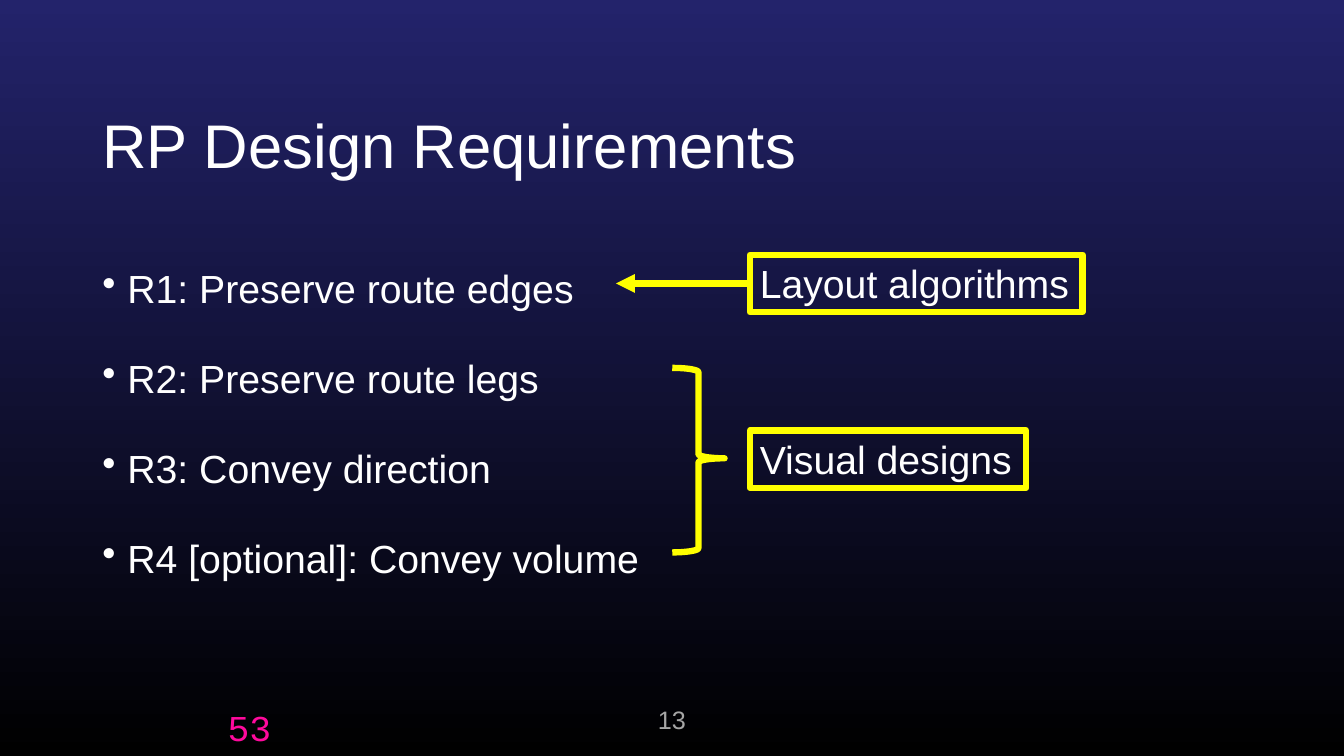
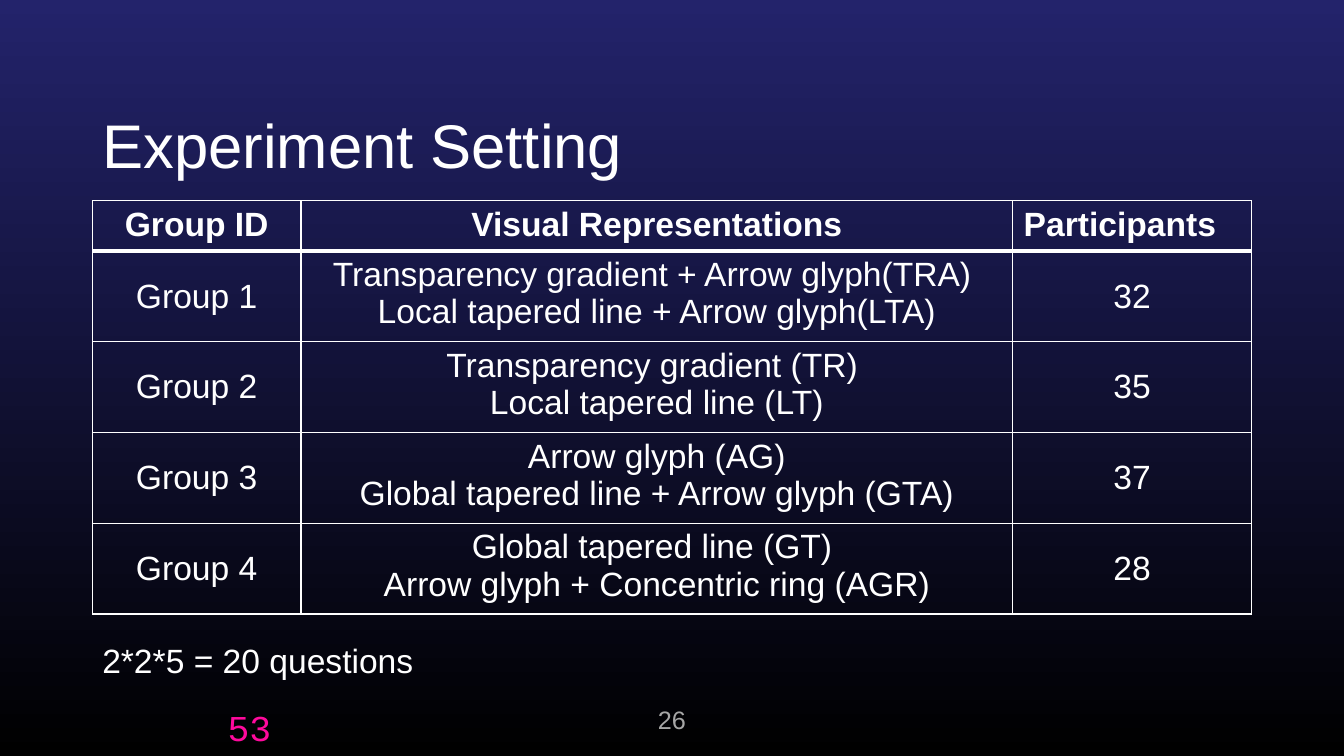
from dataclasses import dataclass
from lxml.etree import SubElement as Sub
from pptx import Presentation as Deck
from pptx.dml.color import RGBColor as Rgb
from pptx.enum.shapes import MSO_CONNECTOR as Link, MSO_SHAPE as Kind
from pptx.enum.text import MSO_ANCHOR as Anchor, MSO_AUTO_SIZE as Auto, PP_ALIGN as Align
from pptx.oxml.ns import qn
from pptx.shapes.autoshape import Shape
from pptx.slide import Slide
from pptx.table import _Cell as Cell
from pptx.text.text import TextFrame as Frame
from pptx.util import Pt

WHITE, YELLOW, PINK, GREY = "FFFFFF", "FFFF00", "FF0A9D", "A6A6A6"
NAVY, BLACK = "23236B", "000000"
LEFT, WIDE = 66, 828


@dataclass(frozen=True)
class Box:
    x: float
    y: float
    w: float
    h: float


@dataclass(frozen=True)
class Style:
    size: float
    color: str = WHITE
    font: str = "Arial"
    bold: bool = False
    align: Align = Align.LEFT
    anchor: Anchor = Anchor.TOP
    lead: float = 1.0


@dataclass(frozen=True)
class Group:
    name: str
    views: str
    count: int


HEAD = Style(44, anchor=Anchor.BOTTOM, lead=0.9)
BODY = Style(28, lead=0.9)
LABEL = Style(28)
NOTE = Style(24)
PAGE = Style(18, GREY, align=Align.CENTER, anchor=Anchor.BOTTOM)
TOTAL = Style(26, PINK, "Courier New")
TOP = Style(24, bold=True, align=Align.CENTER)
TOP_LEFT = Style(24, bold=True)
CELL = Style(24, align=Align.CENTER)
MID = Style(24, align=Align.CENTER, anchor=Anchor.MIDDLE)

NEEDS = (
    "R1: Preserve route edges",
    "R2: Preserve route legs",
    "R3: Convey direction",
    "R4 [optional]: Convey volume",
)
GROUPS = (
    Group("Group 1", "Transparency gradient + Arrow glyph(TRA) \nLocal tapered line + Arrow glyph(LTA)", 32),
    Group("Group 2", "Transparency gradient (TR) \nLocal tapered line (LT)", 35),
    Group("Group 3", "Arrow glyph (AG)\nGlobal tapered line + Arrow glyph (GTA)", 37),
    Group("Group 4", "Global tapered line (GT) \nArrow glyph + Concentric ring (AGR)", 28),
)


def hue(code: str) -> Rgb:
    return Rgb.from_string(code)


def place(box: Box) -> tuple:
    return Pt(box.x), Pt(box.y), Pt(box.w), Pt(box.h)


def write(frame: Frame, text: str, style: Style) -> None:
    frame.text = text
    for para in frame.paragraphs:
        para.alignment = style.align
        para.line_spacing = style.lead
        for run in para.runs:
            run.font.size = Pt(style.size)
            run.font.name = style.font
            run.font.bold = style.bold
            run.font.color.rgb = hue(style.color)


def add_text(slide: Slide, box: Box, text: str, style: Style) -> Frame:
    frame = slide.shapes.add_textbox(*place(box)).text_frame
    frame.word_wrap = True
    frame.vertical_anchor = style.anchor
    write(frame, text, style)
    return frame


def add_slide(deck: Deck, title: str, page: int) -> Slide:
    slide = deck.slides.add_slide(deck.slide_layouts[6])
    fill = slide.background.fill
    fill.gradient()
    fill.gradient_angle = 270
    for stop, code, spot in zip(fill.gradient_stops, (NAVY, BLACK), (0, 1)):
        stop.color.rgb = hue(code)
        stop.position = spot
    add_text(slide, Box(155.5, 500.4, 83.5, 38.9), "53", TOTAL)
    add_text(slide, Box(LEFT, 28.8, WIDE, 104.4), title, HEAD)
    add_text(slide, Box(372, 499.7, 216, 28.8), str(page), PAGE)
    return slide


def add_list(slide: Slide, box: Box, items: tuple) -> None:
    frame = add_text(slide, box, "\n".join(items), BODY)
    frame.margin_top = Pt(48.5)
    for row, para in enumerate(frame.paragraphs):
        props = para._p.get_or_add_pPr()
        props.set("marL", str(Pt(18)))
        props.set("indent", str(-Pt(18)))
        Sub(props, qn("a:buChar")).set("char", "•")
        if row:
            para.space_before = Pt(34)


def add_line(slide: Slide, kind: Kind, box: Box) -> Shape:
    shape = slide.shapes.add_shape(kind, *place(box))
    shape.shadow.inherit = False
    shape.fill.background()
    shape.line.color.rgb = hue(YELLOW)
    shape.line.width = Pt(4.5)
    return shape


def add_label(slide: Slide, box: Box, text: str) -> Shape:
    shape = add_line(slide, Kind.RECTANGLE, box)
    frame = shape.text_frame
    frame.word_wrap = False
    frame.auto_size = Auto.SHAPE_TO_FIT_TEXT
    frame.vertical_anchor = Anchor.TOP
    write(frame, text, LABEL)
    return shape


def add_arrow(slide: Slide, start: Shape, end: float) -> None:
    mid = start.top + start.height // 2
    arrow = slide.shapes.add_connector(Link.STRAIGHT, start.left, mid, Pt(end), mid)
    arrow.begin_connect(start, 1)
    arrow.line.color.rgb = hue(YELLOW)
    arrow.line.width = Pt(4.5)
    Sub(arrow.line._get_or_add_ln(), qn("a:tailEnd")).set("type", "triangle")
    Sub(arrow._element.spPr, qn("a:effectLst"))


def add_edge(cell: Cell, side: str, width: float) -> None:
    edge = Sub(cell._tc.get_or_add_tcPr(), qn(f"a:ln{side}"))
    edge.set("w", str(Pt(width)))
    fill = Sub(edge, qn("a:solidFill"))
    Sub(fill, qn("a:srgbClr")).set("val", WHITE)


def add_grid(slide: Slide, x: float, y: float, cols: tuple, tall: tuple) -> None:
    rows = [(("Group ID", TOP), ("Visual Representations", TOP), ("Participants", TOP_LEFT))]
    rows += [((g.name, MID), (g.views, CELL), (str(g.count), MID)) for g in GROUPS]
    box = Box(x, y, sum(cols), sum(tall))
    grid = slide.shapes.add_table(len(rows), len(cols), *place(box)).table
    grid.first_row = grid.horz_banding = False
    for col, width in zip(grid.columns, cols):
        col.width = Pt(width)
    for r, row in enumerate(rows):
        grid.rows[r].height = Pt(tall[r])
        for c, (text, style) in enumerate(row):
            cell = grid.cell(r, c)
            cell.margin_left = cell.margin_right = Pt(8)
            cell.margin_top = cell.margin_bottom = Pt(3.6)
            cell.vertical_anchor = style.anchor
            for side in "LRTB":
                add_edge(cell, side, 3 if (r, side) in ((0, "B"), (1, "T")) else 1)
            cell.fill.background()
            write(cell.text_frame, text, style)


def add_needs(deck: Deck) -> None:
    slide = add_slide(deck, "RP Design Requirements", 13)
    add_list(slide, Box(LEFT, 144, WIDE, 342.7), NEEDS)
    layout = add_label(slide, Box(535.7, 182, 237.6, 41), "Layout algorithms")
    add_arrow(slide, layout, 440)
    add_label(slide, Box(535.7, 307.5, 197.3, 41), "Visual designs")
    brace = add_line(slide, Kind.RIGHT_BRACE, Box(480.2, 262.8, 37.4, 131.8))
    brace.adjustments[0] = 0.08
    brace.adjustments[1] = 0.49


def add_setup(deck: Deck) -> None:
    slide = add_slide(deck, "Experiment Setting", 26)
    add_grid(slide, LEFT, 143.3, (149, 508.3, 170.7), (34.3,) + (60.7,) * len(GROUPS))
    add_text(slide, Box(LEFT, 453.6, 240.5, 36), "2*2*5 = 20 questions", NOTE)


def main() -> None:
    deck = Deck()
    deck.slide_width, deck.slide_height = Pt(960), Pt(540)
    add_needs(deck)
    add_setup(deck)
    deck.save("out.pptx")


if __name__ == "__main__":
    main()
